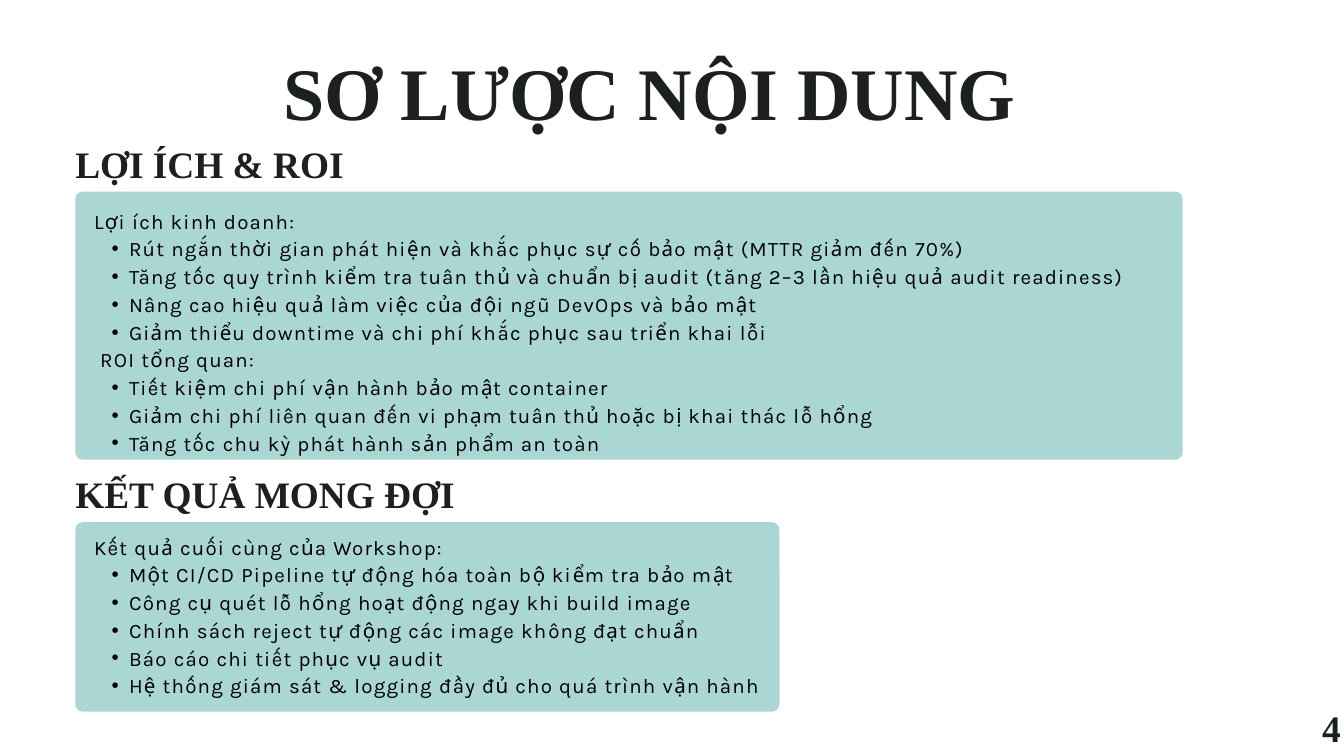
from lxml.etree import SubElement
from pptx import Presentation
from pptx.dml.color import RGBColor
from pptx.enum.shapes import MSO_SHAPE
from pptx.enum.text import PP_ALIGN
from pptx.oxml.ns import qn
from pptx.util import Pt

PX = 9144  # 100 px to the inch
INK, BLACK, TEAL = "1C2120", "000000", "AAD7D4"
SERIF, SANS = "Times New Roman", "Karla"
HEADING_HEIGHT = 72
CORNER = 11
TEXT_INDENT = 28

# Each group is a lead line and its bullets
BENEFITS = [
    ("Lợi ích kinh doanh:", [
        "Rút ngắn thời gian phát hiện và khắc phục sự cố bảo mật (MTTR giảm đến 70%)",
        "Tăng tốc quy trình kiểm tra tuân thủ và chuẩn bị audit (tăng 2–3 lần hiệu quả audit readiness)",
        "Nâng cao hiệu quả làm việc của đội ngũ DevOps và bảo mật",
        "Giảm thiểu downtime và chi phí khắc phục sau triển khai lỗi",
    ]),
    (" ROI tổng quan:", [
        "Tiết kiệm chi phí vận hành bảo mật container",
        "Giảm chi phí liên quan đến vi phạm tuân thủ hoặc bị khai thác lỗ hổng",
        "Tăng tốc chu kỳ phát hành sản phẩm an toàn",
    ]),
]
RESULTS = [
    ("Kết quả cuối cùng của Workshop:", [
        "Một CI/CD Pipeline tự động hóa toàn bộ kiểm tra bảo mật",
        "Công cụ quét lỗ hổng hoạt động ngay khi build image",
        "Chính sách reject tự động các image không đạt chuẩn",
        "Báo cáo chi tiết phục vụ audit",
        "Hệ thống giám sát & logging đầy đủ cho quá trình vận hành",
    ]),
]


def px(*lengths):
    return [length * PX for length in lengths]


def color(hex_string):
    return RGBColor.from_string(hex_string)


def add_frame(page, box):
    frame = page.shapes.add_textbox(*px(*box)).text_frame
    frame.word_wrap = True
    frame.margin_left = frame.margin_top = frame.margin_right = frame.margin_bottom = 0
    return frame


def style(para, font_name, size, hex_string, line_pitch, bold=False):
    para.line_spacing = Pt(line_pitch)
    font = para.font
    font.name, font.size, font.bold = font_name, Pt(size), bold
    font.color.rgb = color(hex_string)


def add_heading(page, box, text, size=40, line_pitch=45.6, align=PP_ALIGN.LEFT):
    para = add_frame(page, box).paragraphs[0]
    para.text = text
    para.alignment = align
    style(para, SERIF, size, INK, line_pitch, bold=True)


def add_bullet(para):
    para.level = 1
    properties = para._p.get_or_add_pPr()
    properties.set("marL", str(52 * PX))
    properties.set("indent", str(-26 * PX))
    SubElement(properties, qn("a:buFont"), typeface="Arial")
    SubElement(properties, qn("a:buChar"), char="•")


def add_panel(page, box):
    panel = page.shapes.add_shape(MSO_SHAPE.ROUNDED_RECTANGLE, *px(*box))
    panel.adjustments[0] = CORNER / min(box[2:])
    panel.shadow.inherit = False
    panel.fill.solid()
    panel.fill.fore_color.rgb = color(TEAL)
    panel.line.fill.background()


def add_groups(page, box, groups):
    frame = add_frame(page, box)
    lines = [(text, is_bullet) for lead, bullets in groups
             for text, is_bullet in [(lead, False)] + [(item, True) for item in bullets]]
    for index, (text, is_bullet) in enumerate(lines):
        para = frame.add_paragraph() if index else frame.paragraphs[0]
        span = para.add_run()
        span.text = text
        span.font._element.set("spc", "130")
        style(para, SANS, 22, BLACK, 29.7)
        if is_bullet:
            add_bullet(para)


def add_section(page, box, title, groups, text_top, text_width):
    """A heading on top of a rounded panel of bulleted text."""
    left, top, width, height = box
    panel_top = top + HEADING_HEIGHT
    panel_height = height - HEADING_HEIGHT
    add_panel(page, (left, panel_top, width, panel_height))
    add_heading(page, (left, top, width, HEADING_HEIGHT), title)
    add_groups(page, (left + TEXT_INDENT, panel_top + text_top, text_width,
                      panel_height - text_top), groups)


def main():
    deck = Presentation()
    deck.slide_width, deck.slide_height = px(2000, 1125)
    page = deck.slides.add_slide(deck.slide_layouts[6])

    # Title
    add_heading(page, (386, 75, 1162, 144), "SƠ LƯỢC NỘI DUNG", 79.4, 90.5, PP_ALIGN.CENTER)

    # Sections
    add_section(page, (112, 213, 1648, 471), "LỢI ÍCH & ROI", BENEFITS, 21, 1620)
    add_section(page, (112, 705, 1048, 354), "KẾT QUẢ MONG ĐỢI", RESULTS, 14, 1039)

    # Page number
    add_heading(page, (1963, 1053, 37, 135), "4", align=PP_ALIGN.CENTER)

    deck.save("out.pptx")


if __name__ == "__main__":
    main()
